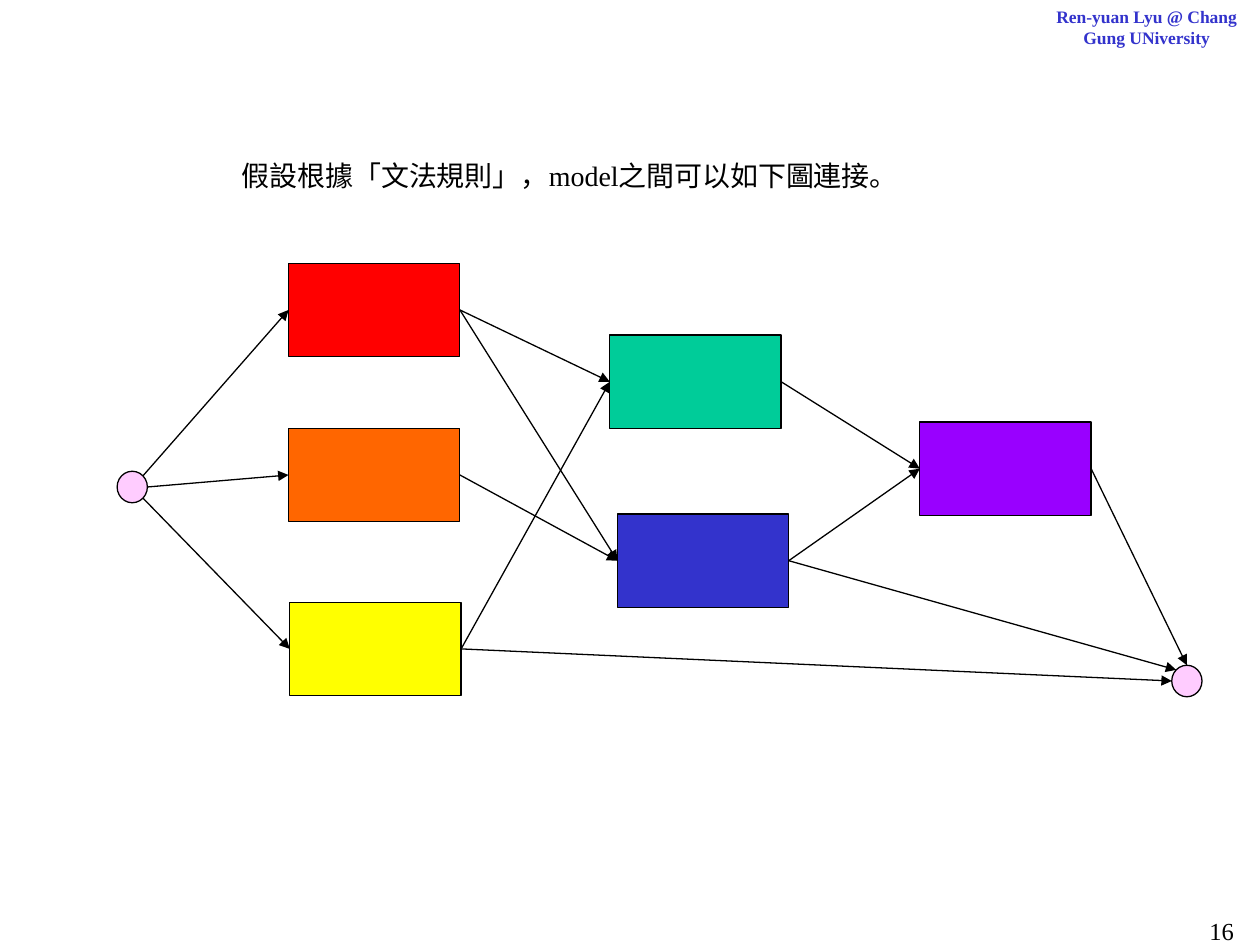
from dataclasses import dataclass
from math import cos, radians, sin

from lxml.etree import SubElement
from pptx import Presentation
from pptx.dml.color import RGBColor
from pptx.enum.shapes import MSO_CONNECTOR, MSO_SHAPE
from pptx.enum.text import PP_ALIGN
from pptx.oxml.ns import qn
from pptx.util import Inches, Pt

CELL = Inches(0.1)  # the slide is a grid of 100 columns by 75 rows
LEFT_SITE, RIGHT_SITE = 1, 3


@dataclass(frozen=True)
class Theme:
    font: str = "Times New Roman"
    ink: str = "000000"
    accent: str = "3333CC"
    terminal: str = "FFCCFF"
    caption_size: int = 16
    header_size: int = 10
    number_size: int = 14
    line_width: float = 0.75


THEME = Theme()
MODEL_SIZE = (13.6, 7.4)
TERMINAL_SIZE = (2.4, 2.5)

# model: column, row within the diagram, fill
MODELS = {
    "red": (13.6, 0, "FF0000"),
    "orange": (13.6, 13.1, "FF6600"),
    "yellow": (13.7, 26.9, "FFFF00"),
    "blue": (39.7, 19.9, "3333CC"),
    "green": (39.1, 5.7, "00CC99"),
    "purple": (63.7, 12.6, "9900FF"),
}
TERMINALS = {"start": (0, 16.5), "end": (83.7, 31.9)}

# the grammar; angles say where an arrow meets a terminal, clockwise from right
ENTRIES = [("red", -45), ("orange", 0), ("yellow", 45)]
TRANSITIONS = [
    ("red", "green"), ("red", "blue"), ("orange", "blue"),
    ("yellow", "green"), ("green", "purple"), ("blue", "purple"),
]
EXITS = [("purple", -90), ("yellow", 180), ("blue", -135)]


def grid(*cells):
    return [round(cell * CELL) for cell in cells]


def add_node(slide, preset, box, fill):
    node = slide.shapes.add_shape(preset, *grid(*box))
    node.shadow.inherit = False
    node.fill.solid()
    node.fill.fore_color.rgb = RGBColor.from_string(fill)
    node.line.color.rgb = RGBColor.from_string(THEME.ink)
    node.line.width = Pt(THEME.line_width)
    return node


def rim_point(circle, angle):
    """Point on the outline of a terminal at the given angle."""
    turn = radians(angle)
    return (round(circle.left + circle.width * (1 + cos(turn)) / 2),
            round(circle.top + circle.height * (1 + sin(turn)) / 2))


def add_arrow(slide, source=None, target=None, begin=(0, 0), end=(0, 0)):
    """Arrow glued to the models given, otherwise to the points given."""
    arrow = slide.shapes.add_connector(MSO_CONNECTOR.STRAIGHT, *begin, *end)
    if source is not None:
        arrow.begin_connect(source, RIGHT_SITE)
    if target is not None:
        arrow.end_connect(target, LEFT_SITE)
    arrow.line.color.rgb = RGBColor.from_string(THEME.ink)
    arrow.line.width = Pt(THEME.line_width)
    SubElement(arrow.line._get_or_add_ln(), qn("a:tailEnd"), type="triangle")
    SubElement(arrow._element.spPr, qn("a:effectLst"))


def add_model_network(slide, left, top):
    models = {
        name: add_node(slide, MSO_SHAPE.RECTANGLE,
                       (left + column, top + row, *MODEL_SIZE), fill)
        for name, (column, row, fill) in MODELS.items()
    }
    terminals = {
        name: add_node(slide, MSO_SHAPE.OVAL,
                       (left + column, top + row, *TERMINAL_SIZE), THEME.terminal)
        for name, (column, row) in TERMINALS.items()
    }
    for name, angle in ENTRIES:
        add_arrow(slide, target=models[name],
                  begin=rim_point(terminals["start"], angle))
    for source, target in TRANSITIONS:
        add_arrow(slide, models[source], models[target])
    for name, angle in EXITS:
        add_arrow(slide, source=models[name],
                  end=rim_point(terminals["end"], angle))


def add_label(slide, box, wording, size, color=THEME.ink, bold=False,
              align=PP_ALIGN.LEFT, wrap=True):
    frame = slide.shapes.add_textbox(*grid(*box)).text_frame
    frame.word_wrap = wrap
    frame.text = wording
    paragraph = frame.paragraphs[0]
    paragraph.alignment = align
    font = paragraph.runs[0].font
    font.name = THEME.font
    font.size = Pt(size)
    font.bold = bold
    font.color.rgb = RGBColor.from_string(color)


def main():
    deck = Presentation()
    deck.slide_width, deck.slide_height = grid(100, 75)
    slide = deck.slides.add_slide(deck.slide_layouts[6])
    add_model_network(slide, 9.3, 20.9)
    add_label(slide, (18.2, 12.1, 55.1, 3.7),
              "假設根據「文法規則」，model之間可以如下圖連接。",
              THEME.caption_size, wrap=False)
    add_label(slide, (82, 0, 18, 5), "Ren-yuan Lyu @ Chang Gung UNiversity",
              THEME.header_size, THEME.accent, bold=True, align=PP_ALIGN.CENTER)
    add_label(slide, (95, 72.2, 5, 2.8), "16", THEME.number_size)
    deck.save("out.pptx")


if __name__ == "__main__":
    main()
